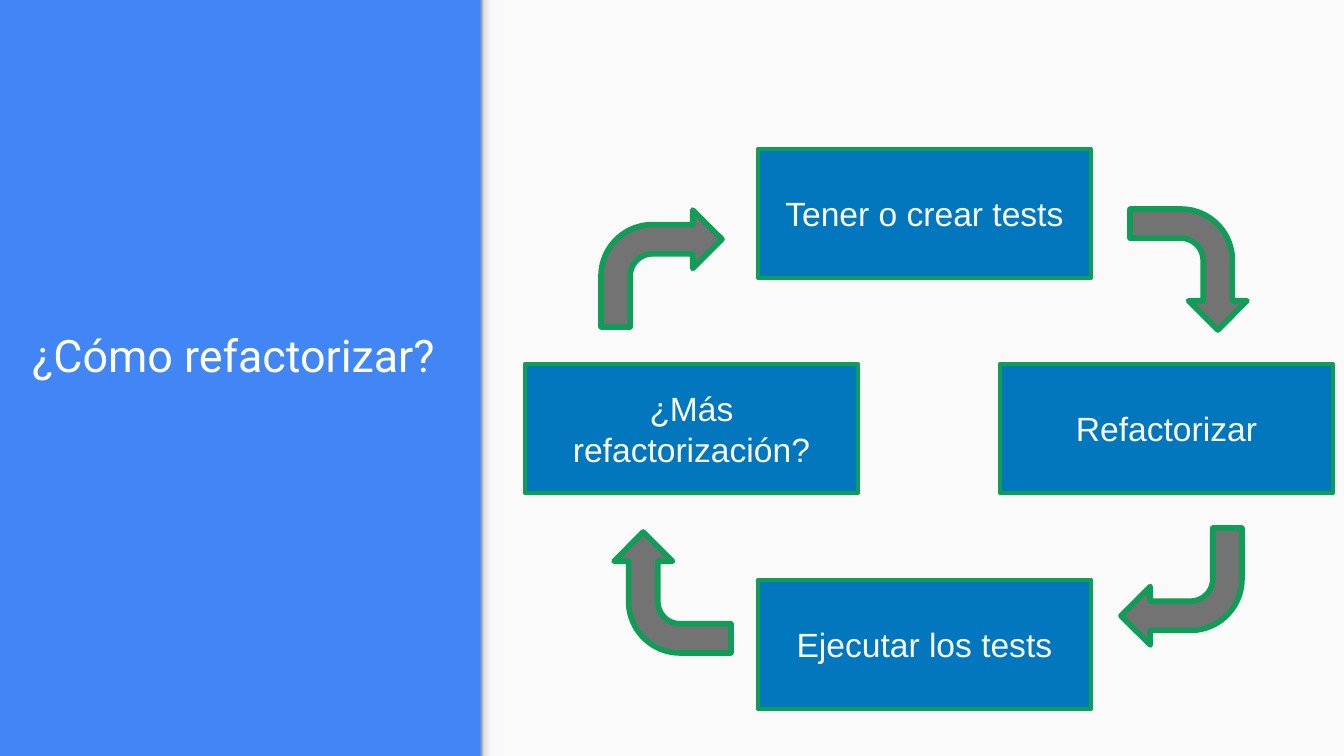
import copy
from dataclasses import dataclass

import pptx
import pptx.dml.color
import pptx.enum.shapes
import pptx.enum.text
import pptx.oxml.ns
import pptx.util
from lxml import etree

EMU_PER_PIXEL = 914400 / 134.4
SLIDE_WIDTH, SLIDE_HEIGHT = 1344, 756
PANEL_LEFT = 481
STEP_WIDTH, STEP_HEIGHT = 333, 129
ARROW_WIDTH, ARROW_HEIGHT = 121, 117
PRESET = pptx.enum.shapes.MSO_SHAPE
ANCHOR = pptx.enum.text.MSO_ANCHOR
ALIGN = pptx.enum.text.PP_ALIGN


@dataclass(frozen=True)
class Theme:
    """Colours, fonts and point sizes of the slide."""
    background: str = "4285F4"
    panel: str = "FAFAFA"
    step: str = "0277BD"
    arrow: str = "737373"
    outline: str = "0F9D58"
    title: str = "FFFFFF"
    edge_stops: tuple = ((0, "F9F9F9"), (36, "F9F9F9"), (80, "DEDEDE"), (100, "999999"))
    title_font: str = "Roboto"
    step_font: str = "Arial"
    title_size: int = 24
    step_size: int = 18
    step_line: float = 2.25
    arrow_line: float = 3


THEME = Theme()


def px(length):
    """Turn picture pixels into EMU."""
    return pptx.util.Emu(round(length * EMU_PER_PIXEL))


def rgb(value):
    """Turn a hex string into a colour."""
    return pptx.dml.color.RGBColor.from_string(value)


def apply(target, values):
    """Set attributes of an object from a dict."""
    for name, value in values.items():
        setattr(target, name, value)


def add_block(slide, preset, box, fill=None, line_width=None):
    """Add a flat preset shape, outlined when a line width is given."""
    block = slide.shapes.add_shape(preset, *map(px, box))
    block.shadow.inherit = False
    if fill:
        block.fill.solid()
        block.fill.fore_color.rgb = rgb(fill)
    if line_width:
        block.line.color.rgb = rgb(THEME.outline)
        block.line.width = pptx.util.Pt(line_width)
        outline = block._element.spPr.find(pptx.oxml.ns.qn("a:ln"))
        etree.SubElement(outline, pptx.oxml.ns.qn("a:round"))
    else:
        block.line.fill.background()
    return block


def write_text(holder, words, anchor, align, font, size, color):
    """Write one formatted paragraph into a shape."""
    frame = holder.text_frame
    margins = dict.fromkeys(
        ("margin_left", "margin_top", "margin_right", "margin_bottom"), pptx.util.Inches(0.1))
    apply(frame, {"word_wrap": True, "vertical_anchor": anchor, **margins})
    paragraph = frame.paragraphs[0]
    paragraph.alignment = align
    run = paragraph.add_run()
    run.text = words
    apply(run.font, {"name": font, "size": pptx.util.Pt(size)})
    run.font.color.rgb = rgb(color)


def add_panel_edge(slide):
    """Add the soft shadow along the left edge of the panel."""
    depth = 16
    box = (PANEL_LEFT + (depth - SLIDE_HEIGHT) / 2, (SLIDE_HEIGHT - depth) / 2,
           SLIDE_HEIGHT, depth)
    edge = add_block(slide, PRESET.RECTANGLE, box)
    edge.rotation = 270
    edge.fill.gradient()
    edge.fill.gradient_angle = 90
    stop_list = next(edge._element.spPr.iter(pptx.oxml.ns.qn("a:gsLst")))
    for _ in range(len(THEME.edge_stops) - len(stop_list)):
        stop_list.append(copy.deepcopy(stop_list[0]))
    for stop, (percent, color) in zip(edge.fill.gradient_stops, THEME.edge_stops):
        stop.position = percent / 100
        stop.color.rgb = rgb(color)


def add_title(slide, words):
    """Add the title on the coloured side."""
    title = slide.shapes.add_textbox(*map(px, (19, 255, 437, 140)))
    write_text(title, words, ANCHOR.BOTTOM, ALIGN.LEFT,
               THEME.title_font, THEME.title_size, THEME.title)


def add_step(slide, words, left, top):
    """Add one labelled step of the cycle."""
    step = add_block(slide, PRESET.RECTANGLE, (left, top, STEP_WIDTH, STEP_HEIGHT),
                     THEME.step, THEME.step_line)
    write_text(step, words, ANCHOR.MIDDLE, ALIGN.CENTER,
               THEME.step_font, THEME.step_size, THEME.panel)


def add_turn(slide, left, top, rotation):
    """Add one bent arrow between two steps."""
    turn = add_block(slide, PRESET.BENT_ARROW, (left, top, ARROW_WIDTH, ARROW_HEIGHT),
                     THEME.arrow, THEME.arrow_line)
    turn.rotation = rotation
    for index, ratio in enumerate((0.25, 0.25, 0.25, 0.44)):
        turn.adjustments[index] = ratio


def main():
    """Build the slide and save it."""
    deck = pptx.Presentation()
    apply(deck, {"slide_width": px(SLIDE_WIDTH), "slide_height": px(SLIDE_HEIGHT)})
    slide = deck.slides.add_slide(deck.slide_layouts[6])
    slide.background.fill.solid()
    slide.background.fill.fore_color.rgb = rgb(THEME.background)

    add_block(slide, PRESET.RECTANGLE,
              (PANEL_LEFT, 0, SLIDE_WIDTH - PANEL_LEFT, SLIDE_HEIGHT), THEME.panel)
    add_panel_edge(slide)
    add_title(slide, "¿Cómo refactorizar?")

    for words, left, top in (("Tener o crear tests", 758, 149),
                             ("Refactorizar", 1000, 364),
                             ("Ejecutar los tests", 758, 580),
                             ("¿Más refactorización?", 525, 364)):
        add_step(slide, words, left, top)
    for left, top, rotation in ((1128, 211, 90), (612, 534, 270),
                                (1121, 528, 180), (601, 210, 0)):
        add_turn(slide, left, top, rotation)
    deck.save("out.pptx")


main()
